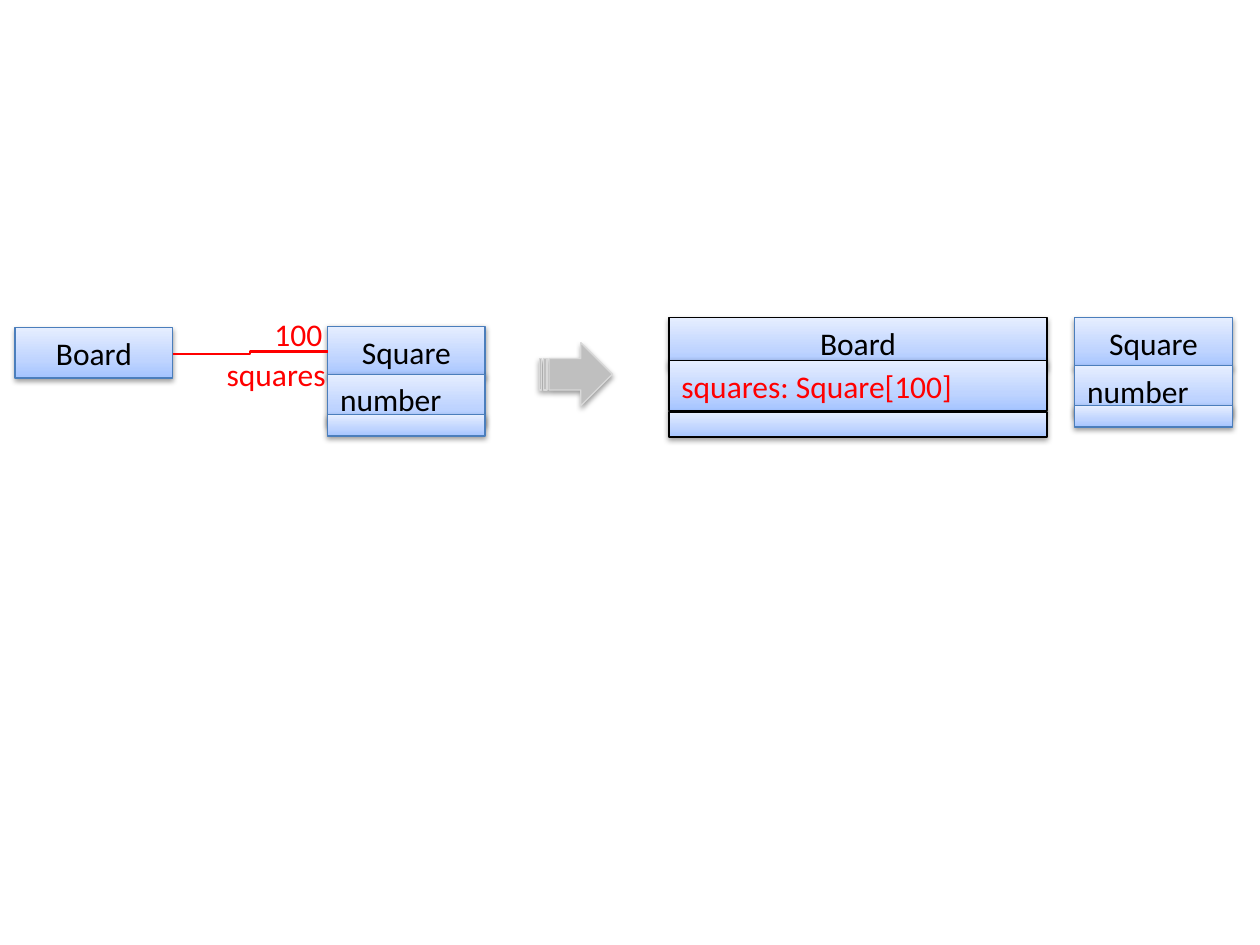
from copy import deepcopy

from lxml import etree
from pptx import Presentation
from pptx.dml.color import RGBColor
from pptx.enum.shapes import MSO_CONNECTOR, MSO_SHAPE
from pptx.enum.text import MSO_ANCHOR, PP_ALIGN
from pptx.oxml.ns import qn
from pptx.util import Inches, Pt

RECT, ARROW = MSO_SHAPE.RECTANGLE, MSO_SHAPE.STRIPED_RIGHT_ARROW
ELBOW = MSO_CONNECTOR.ELBOW
LEFT, CENTER = PP_ALIGN.LEFT, PP_ALIGN.CENTER
MIDDLE, TOP = MSO_ANCHOR.MIDDLE, MSO_ANCHOR.TOP

COLORS = {"ink": "000000", "new": "FF0000", "edge": "4B7EBC",
          "arrow": "BFBFBF", "arrow_edge": "D9D9D9"}
GRADIENT = [(0, "A4C4FF"), (0.35, "BFD4FF"), (1, "E6EEFF")]
ROW, WIDTH = 0.4, 1.25  # height of a text row, width of a narrow class

# Classes: left, top, width, edge colour, and rows of
# (text, alignment, text colour, offset from top, height)
SQUARE_ROWS = [("Square", CENTER, "ink", 0, ROW),
               ("number", LEFT, "ink", 0.38, ROW),
               ("", LEFT, "ink", 0.7, 0.17)]
BOARD_ROWS = [("Board", CENTER, "ink", 0, ROW),
              ("squares: Square[100]", LEFT, "new", 0.34, ROW),
              ("", LEFT, "ink", 0.75, 0.2)]
CLASSES = [(5.31, 2.52, 3, "ink", BOARD_ROWS),
           (0.12, 2.6, WIDTH, "edge", BOARD_ROWS[:1]),
           (2.6, 2.59, WIDTH, "edge", SQUARE_ROWS),
           (8.53, 2.52, WIDTH, "edge", SQUARE_ROWS)]

# Association: its line and the labels at its end
ASSOCIATION = [(1.37, 2.81), (2.6, 2.79)]
LABELS = [("squares", 1.7, 2.77, 1.01), ("100", 2.08, 2.45, 0.59)]
TRANSFORM = (4.28, 2.72, 0.58, 0.5)


def rgb(name):
    return RGBColor.from_string(COLORS.get(name, name))


def write(shape, text, color="ink", align=LEFT, anchor=TOP, wrap=True):
    frame = shape.text_frame
    frame.word_wrap, frame.vertical_anchor = wrap, anchor
    paragraph = frame.paragraphs[0]
    paragraph.alignment = align
    run = paragraph.add_run()
    run.text = text
    run.font.name, run.font.size = "Calibri", Pt(18)
    run.font.color.rgb = rgb(color)


def add_block(slide, kind, box, edge):
    shape = slide.shapes.add_shape(kind, *map(Inches, box))
    shape.line.color.rgb, shape.line.width = rgb(edge), Pt(0.75)
    shape.shadow.inherit = False
    effects = shape._element.spPr.find(qn("a:effectLst"))
    shadow = etree.SubElement(effects, qn("a:outerShdw"), blurRad=str(Pt(3.1)),
                              dist=str(Pt(1.6)), dir="5400000", rotWithShape="0")
    black = etree.SubElement(shadow, qn("a:srgbClr"), val=COLORS["ink"])
    etree.SubElement(black, qn("a:alpha"), val="38000")
    return shape


def fill_gradient(shape):
    shape.fill.gradient()
    shape.fill.gradient_angle = 90
    stops = shape._element.spPr.find(".//" + qn("a:gsLst"))
    stops.append(deepcopy(stops[-1]))
    for stop, (position, color) in zip(shape.fill.gradient_stops, GRADIENT):
        stop.position, stop.color.rgb = position, rgb(color)


def main():
    deck = Presentation()
    deck.slide_width, deck.slide_height = Inches(10), Inches(7.5)
    slide = deck.slides.add_slide(deck.slide_layouts[6])

    # Class boxes, each row overlapping the one above
    for left, top, width, edge, rows in CLASSES:
        for text, align, color, offset, height in rows:
            row = add_block(slide, RECT, (left, top + offset, width, height), edge)
            fill_gradient(row)
            if text:
                write(row, text, color=color, align=align, anchor=MIDDLE)

    # Association with role and multiplicity
    start, end = ASSOCIATION
    association = slide.shapes.add_connector(ELBOW, *map(Inches, start + end))
    association.line.color.rgb, association.line.width = rgb("new"), Pt(1.5)
    etree.SubElement(association._element.spPr, qn("a:effectLst"))
    for text, left, top, width in LABELS:
        label = slide.shapes.add_textbox(*map(Inches, (left, top, width, ROW)))
        write(label, text, color="new", wrap=False)

    # Arrow from the model to its implementation
    arrow = add_block(slide, ARROW, TRANSFORM, "arrow_edge")
    arrow.fill.solid()
    arrow.fill.fore_color.rgb = rgb("arrow")

    deck.save("out.pptx")


if __name__ == "__main__":
    main()
